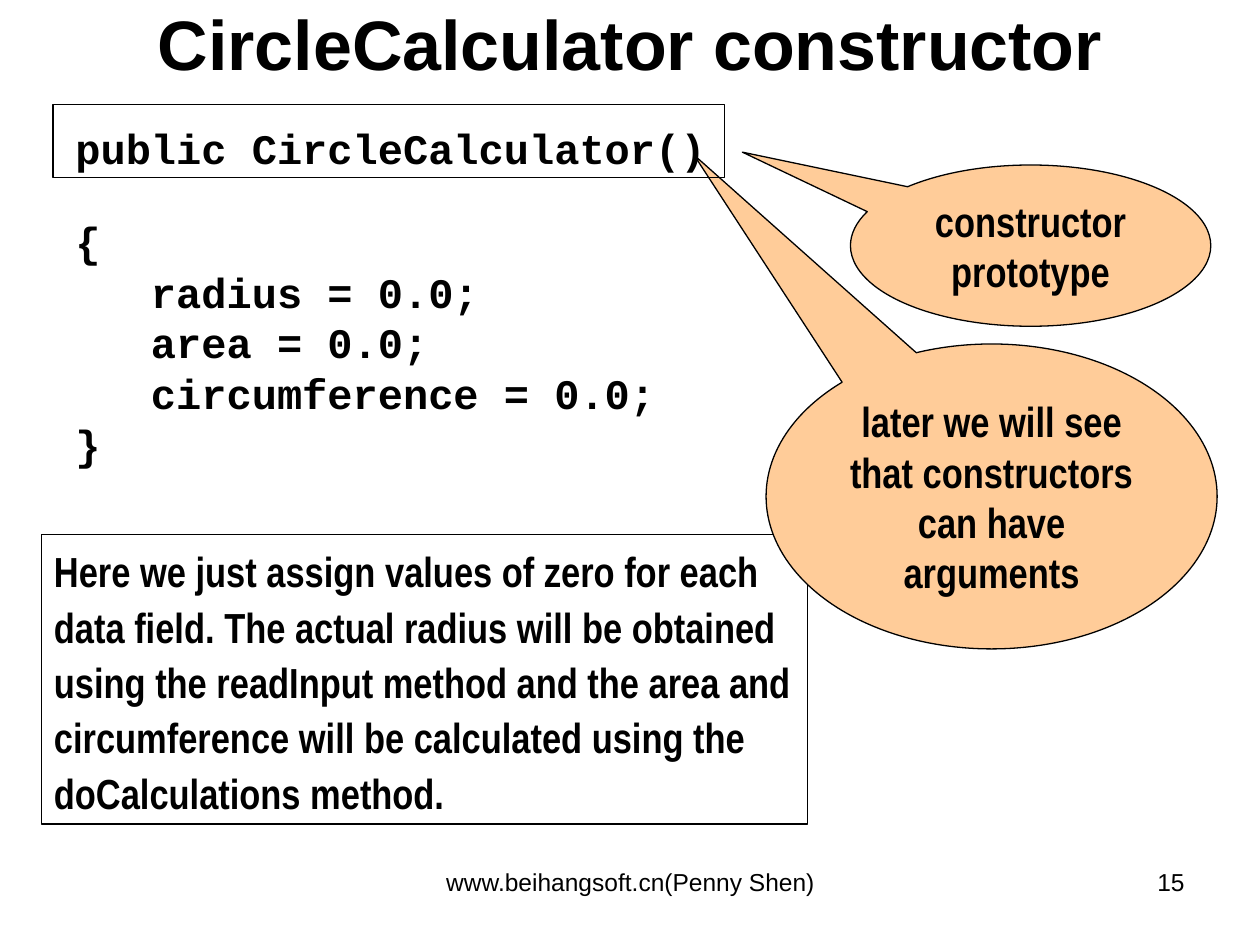
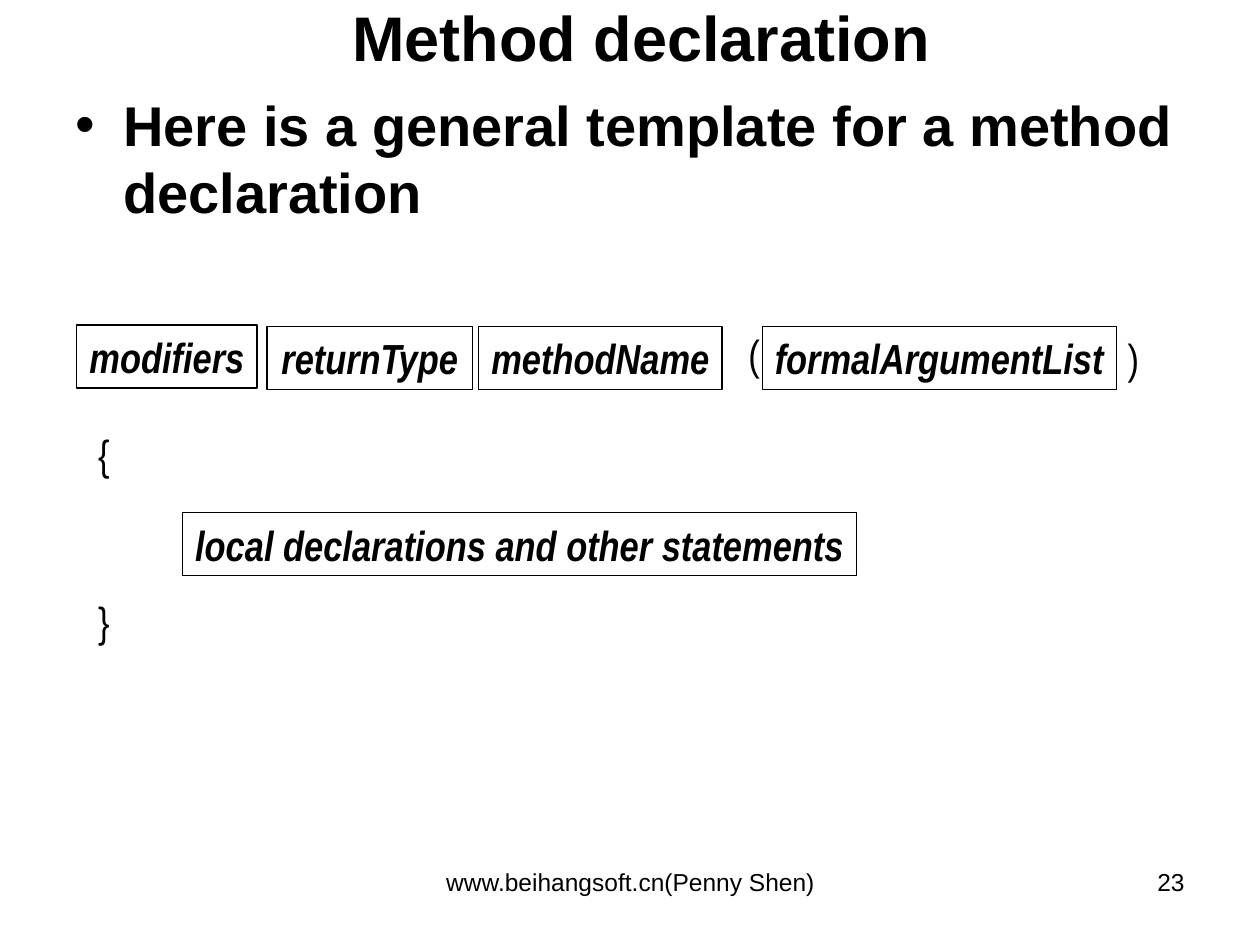
from typing import NamedTuple, Optional

from lxml.etree import SubElement
from pptx import Presentation
from pptx.dml.color import RGBColor
from pptx.enum.shapes import MSO_SHAPE
from pptx.enum.text import MSO_ANCHOR, PP_ALIGN
from pptx.oxml.ns import qn
from pptx.util import Inches, Pt

BLACK = "000000"
PEACH = "FFCC99"
HEADING_FONT = "Arial"
LABEL_FONT = "Arial Narrow"
CODE_FONT = "Courier New"
FOOTER = "www.beihangsoft.cn(Penny Shen)"


class Area(NamedTuple):
    left: float
    top: float
    width: float
    height: float


class Callout(NamedTuple):
    text: str
    area: Area
    tip: tuple[float, float]


class TemplatePart(NamedTuple):
    text: str
    left: float
    top: float
    width: float
    align: PP_ALIGN = PP_ALIGN.CENTER


PART_HEIGHT = 0.5
SYMBOL_WIDTH = 0.29

CODE_LINES = [
    "public CircleCalculator()",
    "{",
    "   radius = 0.0;",
    "   area = 0.0;",
    "   circumference = 0.0;",
    "}",
]
CODE_GAPS = [0, 30, 6, 6, 6, 6]

EXPLANATION = (
    "Here we just assign values of zero for each\n"
    "data field. The actual radius will be obtained\n"
    "using the readInput method and the area and\n"
    "circumference will be calculated using the\n"
    "doCalculations method."
)

ARGUMENTS_CALLOUT = Callout(
    "later we will see\nthat constructors\ncan have arguments",
    Area(6.08, 2.73, 3.58, 2.42), (-0.66, -1.12))
PROTOTYPE_CALLOUT = Callout(
    "constructor\nprototype", Area(6.75, 1.31, 2.86, 1.28), (-0.8, -0.58))

FRAMED_PARTS = [
    TemplatePart("modifiers", 0.61, 2.58, 1.43),
    TemplatePart("returnType", 2.12, 2.59, 1.63),
    TemplatePart("methodName", 3.8, 2.59, 1.93),
    TemplatePart("formalArgumentList", 6.05, 2.59, 2.81),
    TemplatePart("local declarations and other statements",
                 1.45, 4.07, 5.35, PP_ALIGN.LEFT),
]
SYMBOLS = [
    TemplatePart("(", 5.84, 2.56, SYMBOL_WIDTH),
    TemplatePart(")", 8.85, 2.59, SYMBOL_WIDTH),
    TemplatePart("{", 0.68, 3.35, SYMBOL_WIDTH),
    TemplatePart("}", 0.68, 4.68, SYMBOL_WIDTH),
]


def color(value: str) -> RGBColor:
    return RGBColor.from_string(value)


def lengths(area: Area) -> list:
    return [Inches(value) for value in area]


def add_bullet(paragraph, indent: float) -> None:
    properties = paragraph._p.get_or_add_pPr()
    properties.set("marL", str(Inches(indent)))
    properties.set("indent", str(-Inches(indent)))
    SubElement(properties, qn("a:buFont")).set("typeface", "Arial")
    SubElement(properties, qn("a:buChar")).set("char", "•")


def write(holder, lines: list[str], *, size: float, font: str,
          bold: bool = False, italic: bool = False,
          align: PP_ALIGN = PP_ALIGN.LEFT,
          anchor: MSO_ANCHOR = MSO_ANCHOR.TOP, wrap: bool = True,
          spacing: Optional[float] = None,
          gaps: Optional[list[float]] = None, bullet: float = 0) -> None:
    frame = holder.text_frame
    frame.word_wrap = wrap
    frame.vertical_anchor = anchor
    for index, line in enumerate(lines):
        paragraph = frame.add_paragraph() if index else frame.paragraphs[0]
        paragraph.text = line
        paragraph.alignment = align
        if spacing:
            paragraph.line_spacing = spacing
        if gaps and gaps[index]:
            paragraph.space_before = Pt(gaps[index])
        if bullet:
            add_bullet(paragraph, bullet)
        for run in paragraph.runs:
            run.font.size = Pt(size)
            run.font.name = font
            run.font.bold = bold
            run.font.italic = italic
            run.font.color.rgb = color(BLACK)


def add_text(slide, lines: list[str], area: Area, **format) -> None:
    write(slide.shapes.add_textbox(*lengths(area)), lines, **format)


def add_outlined(slide, area: Area, kind: MSO_SHAPE = MSO_SHAPE.RECTANGLE,
                 fill: Optional[str] = None):
    shape = slide.shapes.add_shape(kind, *lengths(area))
    shape.shadow.inherit = False
    if fill:
        shape.fill.solid()
        shape.fill.fore_color.rgb = color(fill)
    else:
        shape.fill.background()
    shape.line.color.rgb = color(BLACK)
    shape.line.width = Pt(0.75)
    return shape


def add_callout(slide, callout: Callout) -> None:
    bubble = add_outlined(slide, callout.area, MSO_SHAPE.OVAL_CALLOUT, PEACH)
    for index, offset in enumerate(callout.tip):
        bubble.adjustments[index] = offset
    write(bubble, [callout.text], size=24, font=LABEL_FONT, bold=True,
          align=PP_ALIGN.CENTER, anchor=MSO_ANCHOR.MIDDLE)


def add_part(slide, part: TemplatePart, framed: bool) -> None:
    area = Area(part.left, part.top, part.width, PART_HEIGHT)
    holder = (add_outlined(slide, area) if framed
              else slide.shapes.add_textbox(*lengths(area)))
    write(holder, [part.text], size=24, font=LABEL_FONT, bold=framed,
          italic=framed, align=part.align, anchor=MSO_ANCHOR.MIDDLE,
          wrap=False)


def start_slide(deck, title: str, title_area: Area, title_size: float,
                number: int):
    slide = deck.slides.add_slide(deck.slide_layouts[6])
    add_text(slide, [title], title_area, size=title_size, font=HEADING_FONT,
             bold=True, align=PP_ALIGN.CENTER, anchor=MSO_ANCHOR.MIDDLE)
    add_text(slide, [FOOTER], Area(3.42, 6.83, 3.17, 0.52), size=14,
             font=HEADING_FONT, align=PP_ALIGN.CENTER)
    add_text(slide, [str(number)], Area(7.17, 6.83, 2.33, 0.52), size=14,
             font=HEADING_FONT, align=PP_ALIGN.RIGHT)
    return slide


def build_constructor_slide(deck) -> None:
    slide = start_slide(deck, "CircleCalculator constructor",
                        Area(0.33, 0, 9.34, 0.67), 40, 15)
    add_text(slide, CODE_LINES, Area(0.5, 1, 9.17, 5.92), size=24,
             font=CODE_FONT, bold=True, spacing=0.8, gaps=CODE_GAPS)
    explanation = add_outlined(slide, Area(0.33, 4.24, 6.08, 2.3))
    write(explanation, [EXPLANATION], size=24, font=LABEL_FONT, bold=True,
          anchor=MSO_ANCHOR.MIDDLE, spacing=1.1)
    add_callout(slide, ARGUMENTS_CALLOUT)
    add_outlined(slide, Area(0.42, 0.83, 5.33, 0.58))
    add_callout(slide, PROTOTYPE_CALLOUT)


def build_declaration_slide(deck) -> None:
    slide = start_slide(deck, "Method declaration",
                        Area(0.42, 0, 9.34, 0.58), 36, 23)
    add_text(slide, ["Here is a general template for a method declaration"],
             Area(0.5, 0.67, 9.17, 6.33), size=32, font=HEADING_FONT,
             bold=True, bullet=0.38)
    for symbol in SYMBOLS:
        add_part(slide, symbol, framed=False)
    for part in FRAMED_PARTS:
        add_part(slide, part, framed=True)


def main() -> None:
    deck = Presentation()
    deck.slide_width = Inches(10)
    deck.slide_height = Inches(7.5)
    build_constructor_slide(deck)
    build_declaration_slide(deck)
    deck.save("out.pptx")


if __name__ == "__main__":
    main()
